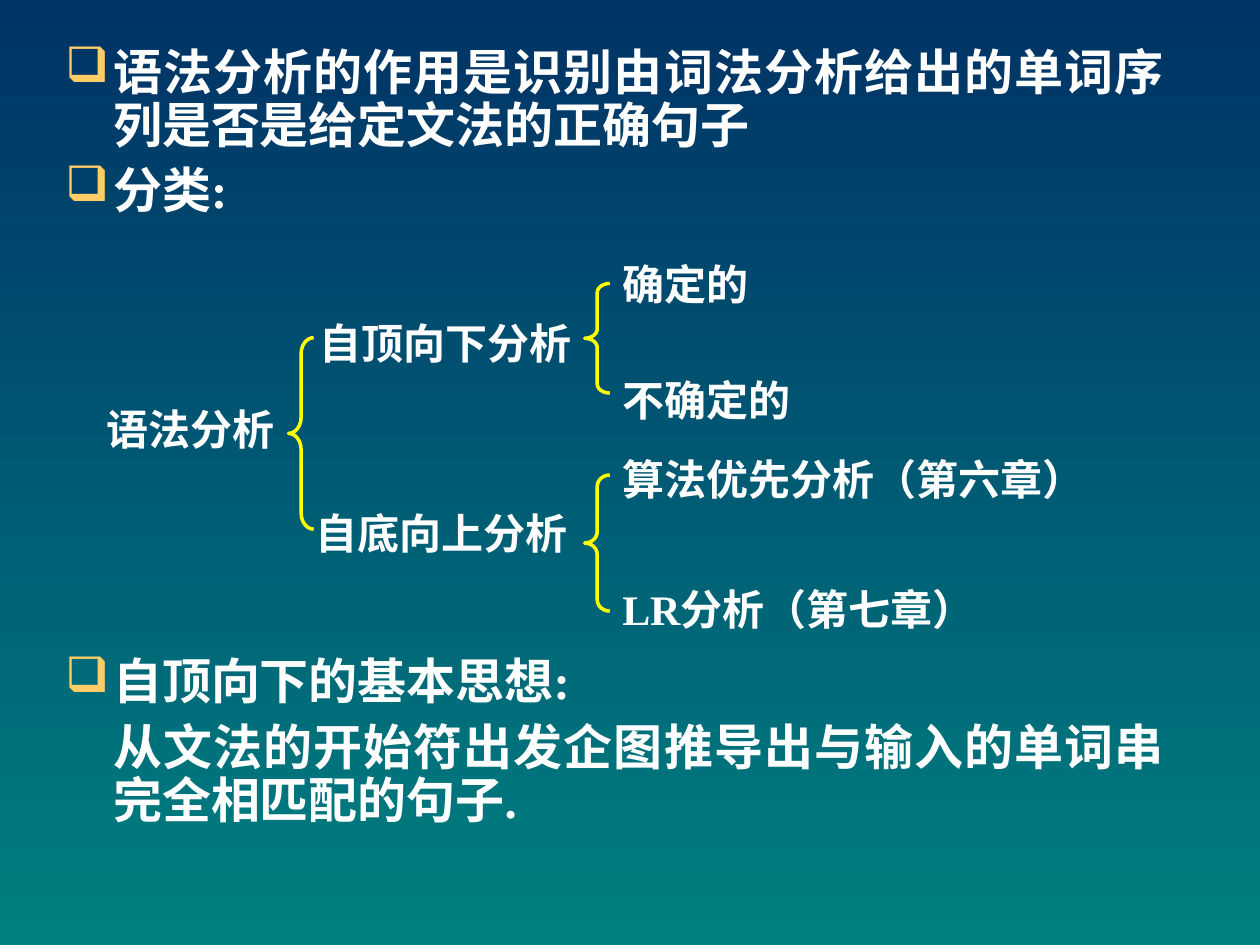
from lxml.etree import SubElement
from pptx import Presentation
from pptx.dml.color import RGBColor
from pptx.enum.shapes import MSO_SHAPE
from pptx.enum.text import PP_ALIGN
from pptx.oxml.ns import qn
from pptx.util import Inches, Pt

prs = Presentation()
prs.slide_width, prs.slide_height = Inches(10), Inches(7.5)
col, row = prs.slide_width / 100, prs.slide_height / 75
s = prs.slides.add_slide(prs.slide_layouts[6])


def rgb(value):
    return RGBColor.from_string(value)


def add_text(x, y, w, h, lines, size):
    sp = s.shapes.add_textbox(int(x * col), int(y * row), int(w * col), int(h * row))
    tf = sp.text_frame
    tf.word_wrap = True
    for i, line in enumerate(lines):
        p = tf.paragraphs[0] if i == 0 else tf.add_paragraph()
        p.alignment = PP_ALIGN.JUSTIFY
        r = p.add_run()
        r.text = line
        for name, value in {"name": "Times New Roman", "size": Pt(size), "bold": True}.items():
            setattr(r.font, name, value)
        r.font.color.rgb = rgb("FFFFFF")
    return tf.paragraphs


fill = s.background.fill
fill.gradient()
fill.gradient_angle = 270
for stop, position, color in zip(fill.gradient_stops, (0, 1), ("003366", "008080")):
    stop.position = position
    stop.color.rgb = rgb(color)

bodies = [
    (3.3, ["语法分析的作用是识别由词法分析给出的单词序列是否是给定文法的正确句子", "分类:"], 2),
    (51.7, ["自顶向下的基本思想:", "从文法的开始符出发企图推导出与输入的单词串完全相匹配的句子."], 1),
]
for y, lines, bulleted in bodies:
    for i, p in enumerate(add_text(4.2, y, 89.2, 15.8, lines, 28)):
        p.line_spacing = 0.9
        p.space_before = Pt(7)
        pPr = p._p.get_or_add_pPr()
        pPr.set("marL", str(Inches(0.38)))
        if i < bulleted:
            pPr.set("indent", str(-Inches(0.38)))
            clr = SubElement(pPr, qn("a:buClr"))
            SubElement(clr, qn("a:srgbClr")).set("val", "FFCC66")
            SubElement(pPr, qn("a:buChar")).set("char", "❑")

labels = [
    (7.5, 31.5, 17.5, "语法分析"),
    (24.4, 24.7, 23.9, "自顶向下分析"),
    (24.1, 39.8, 27.6, "自底向上分析"),
    (48.4, 20, 20.3, "确定的"),
    (48.4, 29.2, 20.3, "不确定的"),
    (48.4, 35.5, 39.9, "算法优先分析（第六章）"),
    (48.4, 45.8, 34.9, "LR分析（第七章）"),
]
for x, y, w, label in labels:
    add_text(x, y, w, 6.5, [label], 24)

brace_w = 2
for x, y, h in [(22.9, 26.8, 15.2), (46.4, 22.5, 8.7), (46.4, 37.7, 10.8)]:
    sp = s.shapes.add_shape(MSO_SHAPE.LEFT_BRACE, int(x * col), int(y * row),
                            int(brace_w * col), int(h * row))
    sp.adjustments[0] = h / 12 / brace_w
    sp.shadow.inherit = False
    sp.fill.background()
    sp.line.color.rgb = rgb("FFFF00")
    sp.line.width = Pt(2)

prs.save("out.pptx")
